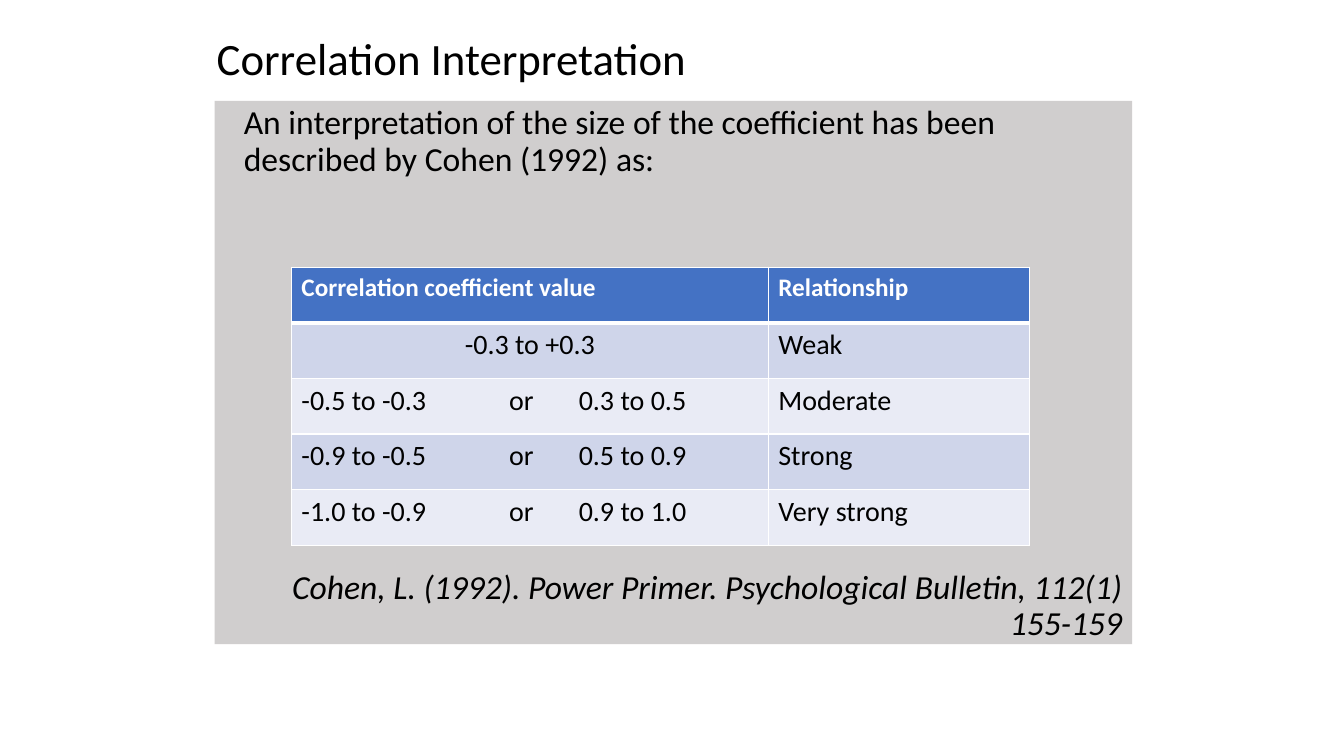
from lxml import etree
from pptx import Presentation
from pptx.dml.color import RGBColor
from pptx.enum.shapes import MSO_SHAPE
from pptx.enum.text import MSO_ANCHOR, PP_ALIGN
from pptx.oxml.ns import qn
from pptx.util import Inches, Pt

LEFT, CENTER, RIGHT = PP_ALIGN.LEFT, PP_ALIGN.CENTER, PP_ALIGN.RIGHT
TOP, MIDDLE = MSO_ANCHOR.TOP, MSO_ANCHOR.MIDDLE
RECTANGLE = MSO_SHAPE.RECTANGLE

TITLE = "Correlation Interpretation"
INTRO = ("An interpretation of the size of the coefficient has been "
         "described by Cohen (1992) as:")
CITATION = ("Cohen, L. (1992). Power Primer. Psychological Bulletin, 112(1) "
            "155-159")
ROWS = [
    ("Correlation coefficient value", "Relationship"),
    ("-0.3 to +0.3", "Weak"),
    ("-0.5 to -0.3\tor\t0.3 to 0.5", "Moderate"),
    ("-0.9 to -0.5\tor\t0.5 to 0.9", "Strong"),
    ("-1.0 to -0.9\tor\t0.9 to 1.0", "Very strong"),
]
COLUMN_WIDTHS = (4.73, 2.59)
ROW_HEIGHT = 0.552
TAB_STOPS = (2.06, 2.75)

FONT = "Calibri"
BLACK = RGBColor(0x00, 0x00, 0x00)
WHITE = RGBColor(0xFF, 0xFF, 0xFF)
GRAY = RGBColor(0xD0, 0xCE, 0xCE)
BLUE = RGBColor(0x44, 0x72, 0xC4)
BANDS = (RGBColor(0xE9, 0xEB, 0xF5), RGBColor(0xCF, 0xD5, 0xEA))


def write(paragraph, text, size, color=BLACK, bold=False, italic=False,
          align=LEFT):
    paragraph.alignment = align
    run = paragraph.add_run()
    run.text = text
    font = run.font
    font.name, font.size, font.color.rgb = FONT, Pt(size), color
    font.bold, font.italic = bold, italic


def add_tab_stops(paragraph):
    properties = paragraph._p.get_or_add_pPr()
    stops = etree.SubElement(properties, qn("a:tabLst"))
    for position in TAB_STOPS:
        etree.SubElement(stops, qn("a:tab"), pos=str(Inches(position)),
                         algn="l")


def set_borders(cell, top, bottom):
    """Give a cell white borders; top and bottom are widths in points."""
    properties = cell._tc.get_or_add_tcPr()
    sides = (("L", 1), ("R", 1), ("T", top), ("B", bottom))
    for order, (side, width) in enumerate(sides):
        line = etree.Element(qn(f"a:ln{side}"), w=str(Pt(width)))
        fill = etree.SubElement(line, qn("a:solidFill"))
        etree.SubElement(fill, qn("a:srgbClr"), val=str(WHITE))
        properties.insert(order, line)


def add_panel(slide):
    panel = slide.shapes.add_shape(RECTANGLE, Inches(2.13), Inches(1),
                                   Inches(9.1), Inches(5.39))
    panel.shadow.inherit = False
    panel.fill.solid()
    panel.fill.fore_color.rgb = GRAY
    panel.line.fill.background()
    frame = panel.text_frame
    frame.word_wrap = True
    frame.vertical_anchor = TOP

    intro, citation = frame.paragraphs[0], frame.add_paragraph()
    citation.space_before = Pt(280)
    write(intro, INTRO, 24)
    write(citation, CITATION, 24, italic=True, align=RIGHT)
    for paragraph, indent in ((intro, 0.19), (citation, 0.25)):
        paragraph.line_spacing = 0.9
        properties = paragraph._p.get_or_add_pPr()
        properties.set("marL", str(Inches(indent)))
        properties.set("indent", "0")


def add_title(slide):
    title = slide.shapes.add_textbox(Inches(2.05), Inches(0.13),
                                     Inches(7.48), Inches(0.95))
    frame = title.text_frame
    frame.word_wrap = True
    frame.vertical_anchor = MIDDLE
    heading = frame.paragraphs[0]
    heading.line_spacing = 0.9
    write(heading, TITLE, 32)


def add_strength_table(slide):
    table = slide.shapes.add_table(
        len(ROWS), len(COLUMN_WIDTHS), Inches(2.89), Inches(2.65),
        Inches(sum(COLUMN_WIDTHS)), Inches(ROW_HEIGHT * len(ROWS))).table
    for column, width in zip(table.columns, COLUMN_WIDTHS):
        column.width = Inches(width)
    for r, texts in enumerate(ROWS):
        header = r == 0
        table.rows[r].height = Inches(ROW_HEIGHT)
        for c, text in enumerate(texts):
            cell = table.cell(r, c)
            cell.fill.solid()
            cell.fill.fore_color.rgb = BLUE if header else BANDS[r % 2]
            set_borders(cell, top=3 if r == 1 else 1,
                        bottom=3 if header else 1)
            paragraph = cell.text_frame.paragraphs[0]
            if "\t" in text:
                add_tab_stops(paragraph)
            write(paragraph, text, 18 if header else 20,
                  WHITE if header else BLACK, bold=header,
                  align=CENTER if (r, c) == (1, 0) else LEFT)


def main():
    deck = Presentation()
    deck.slide_width, deck.slide_height = Inches(13.33), Inches(7.5)
    slide = deck.slides.add_slide(deck.slide_layouts[6])
    add_panel(slide)
    add_title(slide)
    add_strength_table(slide)
    deck.save("out.pptx")


if __name__ == "__main__":
    main()
